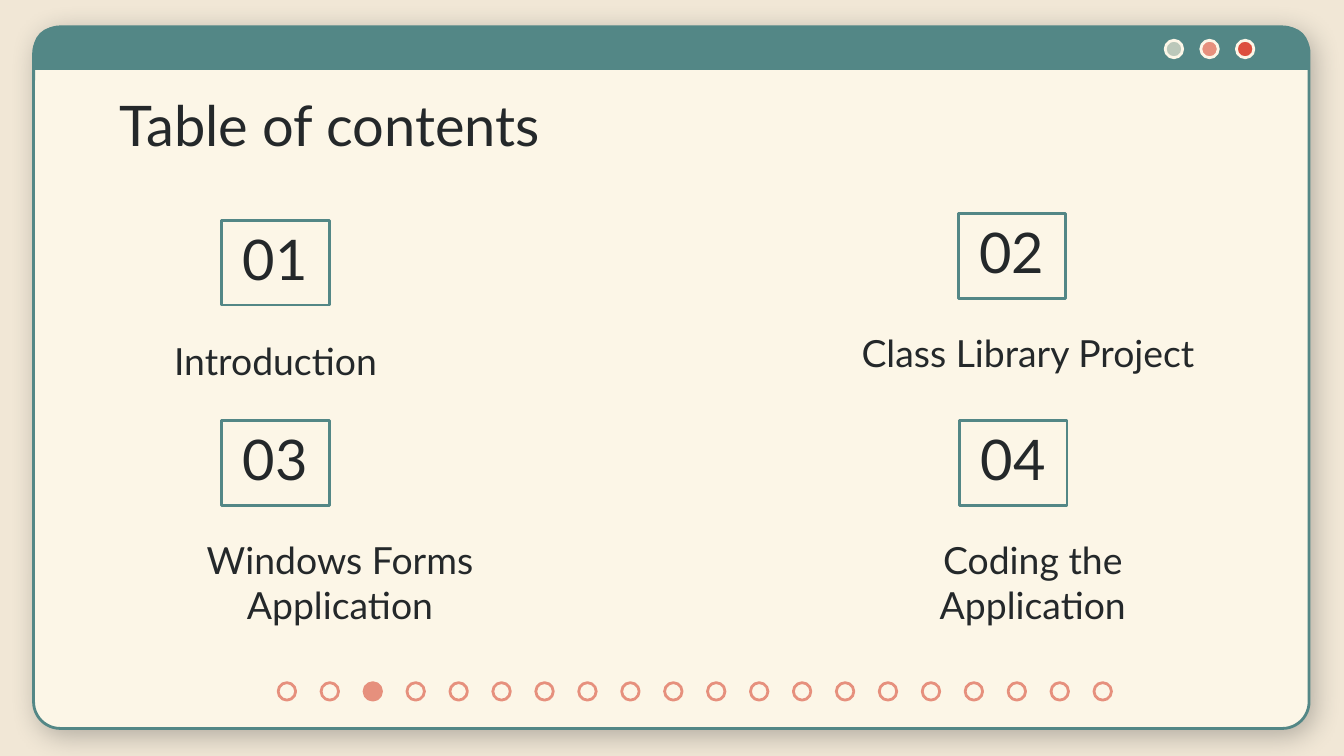
from lxml import etree
from pptx import Presentation
from pptx.dml.color import RGBColor
from pptx.enum import shapes as s, text as t
from pptx.oxml.ns import qn
from pptx.util import Inches, Pt

FONT = "Lato"
HUES = {
    "back": "F1E7D6", "cream": "FCF6E7", "teal": "538786", "ink": "24282A",
    "sage": "BBC8BA", "coral": "E6907D", "red": "DD4F3D",
}
# Number, box left and top; label, its left, top and width
ITEMS = [
    ("01", 1.65, 1.64, "Introduction", 0.79, 2.42, 2.52),
    ("02", 7.13, 1.59, "Class Library Project", 6.27, 2.36, 2.76),
    ("03", 1.65, 3.13, "Windows Forms Application", 0.79, 3.9, 3.48),
    ("04", 7.14, 3.13, "Coding the Application", 6.28, 3.9, 2.81),
]
DOT = 0.13
PAGES = 20
ACTIVE = 2


def hue(name):
    return RGBColor.from_string(HUES[name])


def place(shape, left, top, width, height):
    shape.left, shape.top = Inches(left), Inches(top)
    shape.width, shape.height = Inches(width), Inches(height)


def add_box(parent, kind, box, fill=None, line=None):
    shape = parent.add_shape(kind, *map(Inches, box))
    shape.shadow.inherit = False
    if fill:
        shape.fill.solid()
        shape.fill.fore_color.rgb = hue(fill)
    else:
        shape.fill.background()
    if line:
        shape.line.color.rgb = hue(line)
        shape.line.width = Pt(1.5)
    else:
        shape.line.fill.background()
    return shape


def add_dot(parent, left, top, fill, line):
    add_box(parent, s.MSO_SHAPE.OVAL, (left, top, DOT, DOT), fill, line)


def write(shape, words, size, align, anchor=t.MSO_ANCHOR.TOP):
    frame = shape.text_frame
    frame.text = words
    frame.word_wrap = True
    frame.auto_size = t.MSO_AUTO_SIZE.NONE
    frame.vertical_anchor = anchor
    frame.margin_left = frame.margin_right = Inches(0.1)
    frame.margin_top = frame.margin_bottom = Inches(0.1)
    para = frame.paragraphs[0]
    para.alignment = align
    para.font.name = FONT
    para.font.size = Pt(size)
    para.font.color.rgb = hue("ink")


def add_glow(shape):
    """Give the shape a soft outer shadow."""
    effects = shape._element.spPr.find(qn("a:effectLst"))
    outer = etree.SubElement(
        effects, qn("a:outerShdw"), blurRad=str(Pt(14.6)), dist=str(Pt(3.8)),
        dir=str(50 * 60000), algn="bl", rotWithShape="0")
    color = etree.SubElement(outer, qn("a:srgbClr"), val=HUES["ink"])
    etree.SubElement(color, qn("a:alpha"), val="30000")


def add_window(slide):
    group = slide.shapes.add_group_shape().shapes
    body = add_box(group, s.MSO_SHAPE.ROUNDED_RECTANGLE,
                   (0.25, 0.2, 9.49, 5.22), "cream", "teal")
    body.adjustments[0] = 0.038
    add_glow(body)
    bar = add_box(group, s.MSO_SHAPE.ROUND_2_SAME_RECTANGLE,
                  (0.25, 0.2, 9.49, 0.32), "teal")
    bar.adjustments[0], bar.adjustments[1] = 0.5, 0
    for i, fill in enumerate(("sage", "coral", "red")):
        add_dot(group, 8.67 + i * 0.53 / 2, 0.3, fill, "cream")


def add_title(slide, words):
    title = slide.shapes.title
    place(title, 0.79, 0.57, 8.43, 0.63)
    write(title, words, 30, t.PP_ALIGN.LEFT)
    # Bring the title in front of the window
    slide.shapes._spTree.append(title._element)


def add_item(slide, number, left, top, words, x, y, width):
    box = add_box(slide.shapes, s.MSO_SHAPE.RECTANGLE,
                  (left, top, 0.8, 0.63), line="teal")
    write(box, number, 30, t.PP_ALIGN.CENTER, t.MSO_ANCHOR.BOTTOM)
    label = slide.shapes.add_textbox(*map(Inches, (x, y, width, 0.56)))
    write(label, words, 20, t.PP_ALIGN.CENTER)


def add_pager(slide):
    group = slide.shapes.add_group_shape().shapes
    step = (8.14 - 2.07) / (PAGES - 1)
    for i in range(PAGES):
        fill = "coral" if i == ACTIVE else None
        add_dot(group, 2.07 + i * step, 5.08, fill, "coral")


def main():
    deck = Presentation()
    # A 16:9 page
    deck.slide_width, deck.slide_height = Inches(10), Inches(10 * 9 / 16)
    slide = deck.slides.add_slide(deck.slide_layouts[5])
    slide.background.fill.solid()
    slide.background.fill.fore_color.rgb = hue("back")

    add_window(slide)
    add_title(slide, "Table of contents")
    for item in ITEMS:
        add_item(slide, *item)
    add_pager(slide)
    deck.save("out.pptx")


if __name__ == "__main__":
    main()
